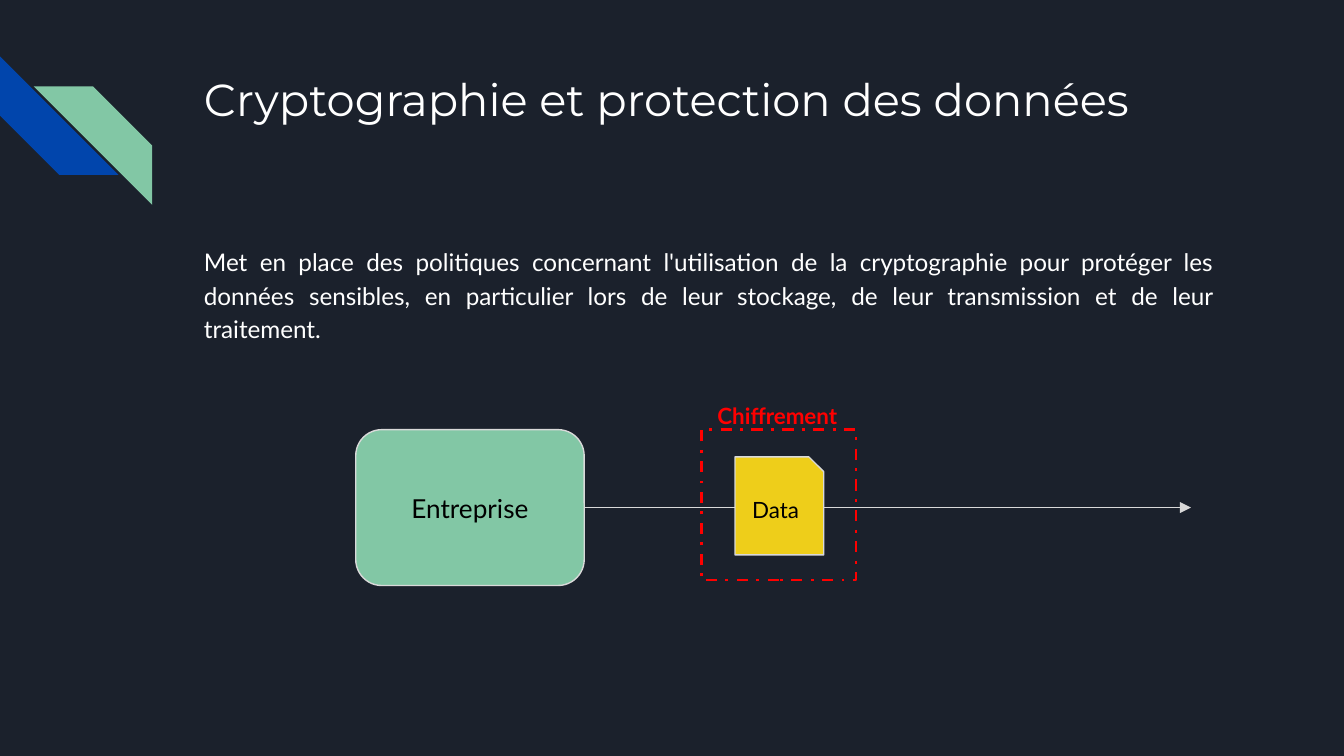
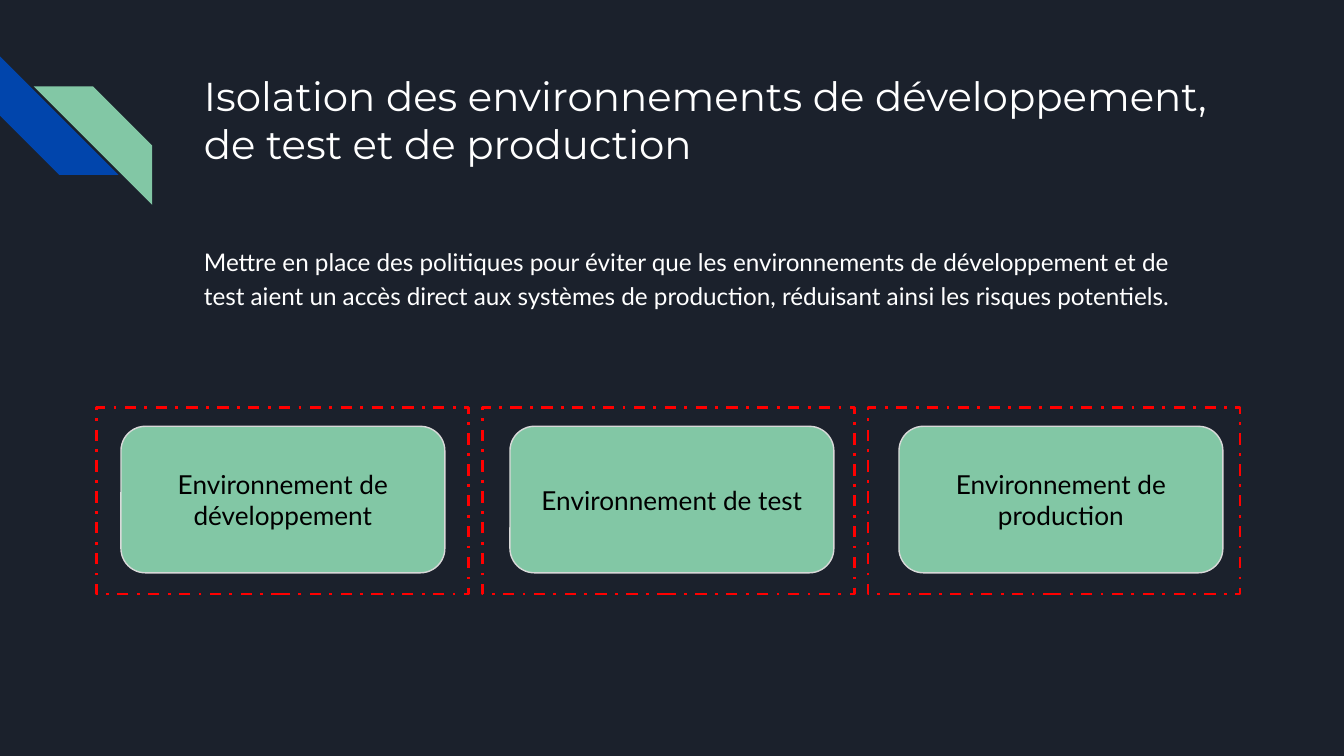
from lxml.etree import SubElement
from pptx import Presentation
from pptx.dml.color import RGBColor
from pptx.enum.dml import MSO_LINE
from pptx.enum.shapes import MSO_CONNECTOR, MSO_SHAPE
from pptx.enum.text import MSO_ANCHOR, PP_ALIGN
from pptx.oxml.ns import qn
from pptx.util import Pt

# Palette and fonts
BACKGROUND = "1B212C"
BLUE = "0145AC"
GREEN = "82C7A5"
YELLOW = "EECE1A"
RED = "FF0000"
OUTLINE = "D9D9D9"
WHITE = "FFFFFF"
BLACK = "000000"
TITLE_FONT = "Montserrat"
BODY_FONT = "Lato"

# Shared geometry and formats, in points
INSET = 7.2
TEXT_LEFT, TEXT_WIDTH = 102.2, 554.4
STRIPE_SIZE = 63.5
BODY_FORMAT = {"line_spacing": 1.15, "space_after": Pt(12)}
RIGHT_SIDE = 3


def rgb(color):
    return RGBColor.from_string(color)


def set_values(target, values):
    for name, value in values.items():
        setattr(target, name, value)


def write_text(shape, text, size, color, font=BODY_FONT, bold=False,
               anchor=MSO_ANCHOR.TOP, paragraph_format=None):
    frame = shape.text_frame
    margins = {f"margin_{side}": Pt(INSET) for side in ("left", "top", "right", "bottom")}
    set_values(frame, {"word_wrap": True, "vertical_anchor": anchor, **margins})
    paragraph = frame.paragraphs[0]
    set_values(paragraph, {"text": text, **(paragraph_format or {})})
    text_font = paragraph.runs[0].font
    set_values(text_font, {"name": font, "size": Pt(size), "bold": bold})
    text_font.color.rgb = rgb(color)


def add_text(slide, box, text, size, color, **options):
    shape = slide.shapes.add_textbox(*map(Pt, box))
    write_text(shape, text, size, color, **options)


def add_preset(slide, kind, box, fill=None, line=None, width=0.75, dash=None):
    shape = slide.shapes.add_shape(kind, *map(Pt, box))
    shape.shadow.inherit = False
    if fill:
        shape.fill.solid()
        shape.fill.fore_color.rgb = rgb(fill)
    else:
        shape.fill.background()
    if line:
        shape.line.color.rgb = rgb(line)
        set_values(shape.line, {"width": Pt(width), "dash_style": dash})
    else:
        shape.line.fill.background()
    return shape


def add_block(slide, box, text, size=14, kind=MSO_SHAPE.ROUNDED_RECTANGLE, fill=GREEN):
    shape = add_preset(slide, kind, box, fill, OUTLINE)
    write_text(shape, text, size, BLACK, anchor=MSO_ANCHOR.MIDDLE,
               paragraph_format={"alignment": PP_ALIGN.CENTER})
    return shape


def add_security_frame(slide, box):
    add_preset(slide, MSO_SHAPE.RECTANGLE, box, line=RED, width=1.5, dash=MSO_LINE.DASH_DOT)


def add_arrow(slide, source, end_x):
    y = source.top + source.height // 2
    arrow = slide.shapes.add_connector(
        MSO_CONNECTOR.STRAIGHT, source.left + source.width, y, Pt(end_x), y)
    arrow.begin_connect(source, RIGHT_SIDE)
    arrow.line.color.rgb = rgb(OUTLINE)
    arrow.line.width = Pt(0.75)
    SubElement(arrow.line._get_or_add_ln(), qn("a:tailEnd"), type="triangle")
    SubElement(arrow._element.spPr, qn("a:effectLst"))


def add_base_slide(presentation, title, title_size, body, body_height, body_alignment):
    slide = presentation.slides.add_slide(presentation.slide_layouts[6])
    slide.background.fill.solid()
    slide.background.fill.fore_color.rgb = rgb(BACKGROUND)

    # Corner stripes
    blue_stripe = add_preset(slide, MSO_SHAPE.DIAGONAL_STRIPE,
                             (0, 30.2, STRIPE_SIZE, STRIPE_SIZE), BLUE)
    blue_stripe.rotation = 270
    green_stripe = add_preset(slide, MSO_SHAPE.DIAGONAL_STRIPE,
                              (18.1, 46.3, STRIPE_SIZE, STRIPE_SIZE), GREEN)
    green_stripe._element.spPr.xfrm.set("flipH", "1")

    # Title and body
    add_text(slide, (TEXT_LEFT, 31, TEXT_WIDTH, 72), title, title_size, WHITE, font=TITLE_FONT)
    add_text(slide, (TEXT_LEFT, 123.1, TEXT_WIDTH, body_height), body, 13, WHITE,
             paragraph_format={"alignment": body_alignment, **BODY_FORMAT})
    return slide


def build_cryptography(presentation):
    slide = add_base_slide(
        presentation, "Cryptographie et protection des données", 24,
        "Met en place des politiques concernant l'utilisation de la cryptographie pour "
        "protéger les données sensibles, en particulier lors de leur stockage, de leur "
        "transmission et de leur traitement.",
        72, PP_ALIGN.JUSTIFY)

    # Encrypted data leaving the company
    company = add_block(slide, (190.6, 230.2, 122.4, 83.5), "Entreprise")
    add_arrow(slide, company, 638)
    add_security_frame(slide, (375.8, 230.2, 82.8, 80.6))
    add_block(slide, (393.8, 244.8, 47.5, 52.5), "Data", 12,
              MSO_SHAPE.SNIP_1_RECTANGLE, YELLOW)
    add_text(slide, (377.3, 208.1, 88.6, 21.6), "Chiffrement", 12, RED, bold=True)


def build_isolation(presentation):
    slide = add_base_slide(
        presentation,
        "Isolation des environnements de développement, de test et de production", 21.6,
        "Mettre en place des politiques pour éviter que les environnements de développement "
        "et de test aient un accès direct aux systèmes de production, réduisant ainsi les "
        "risques potentiels.",
        50.4, PP_ALIGN.LEFT)

    # Three environments, each in its own frame
    environments = ("développement", "test", "production")
    for index, environment in enumerate(environments):
        add_block(slide, (64.8 + 208.4 * index, 228.4, 173.5, 78.5),
                  f"Environnement de {environment}")
        add_security_frame(slide, (51.8 + 206.6 * index, 218.2, 199.4, 100.1))


def main():
    presentation = Presentation()
    set_values(presentation, {"slide_width": Pt(720), "slide_height": Pt(405)})
    build_cryptography(presentation)
    build_isolation(presentation)
    presentation.save("out.pptx")


if __name__ == "__main__":
    main()
